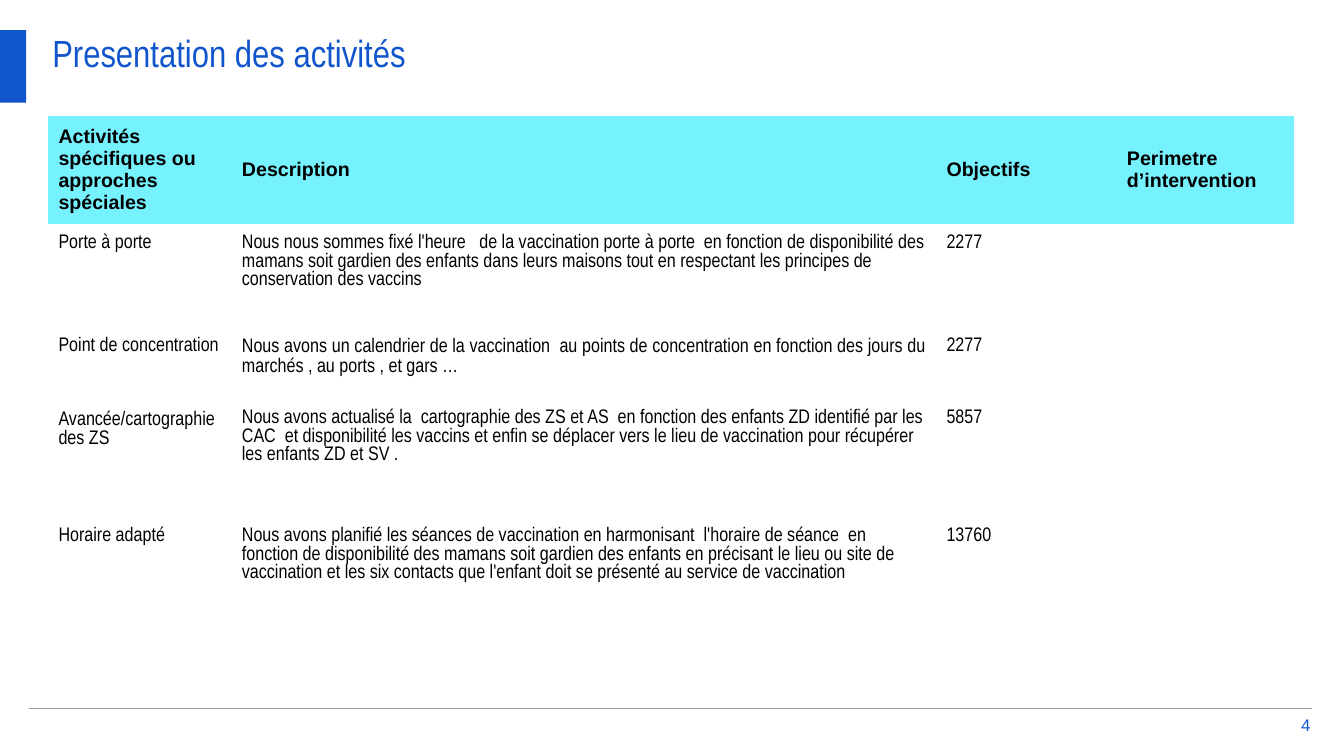
from dataclasses import dataclass

import pptx
import pptx.dml.color
import pptx.enum.shapes
import pptx.enum.text
import pptx.oxml
import pptx.oxml.ns
import pptx.util

Pt = pptx.util.Pt
ALIGN = pptx.enum.text.PP_ALIGN
ANCHOR = pptx.enum.text.MSO_ANCHOR

COLOURS = {"blue": "1155CC", "header": "76F2FF", "rule": "9E9E9E", "text": "000000"}
HEADINGS = (
    "Activités spécifiques ou approches spéciales",
    "Description",
    "Objectifs",
    "Perimetre d’intervention",
)
COLUMN_WIDTHS = (131, 503.3, 128.9, 126.7)
HEADER_HEIGHT = 74.9
CELL_MARGIN = 7.2
NO_STYLE = "{2D5ABB26-0587-4C30-8999-92F81FD0307C}"


@dataclass(frozen=True)
class Activity:
    name: str
    description: str
    target: str
    height: float
    justified_column: int | None = None


ACTIVITIES = (
    Activity(
        "Porte à porte",
        "Nous nous sommes fixé l'heure   de la vaccination porte à porte  en fonction de "
        "disponibilité des mamans soit gardien des enfants dans leurs maisons tout en "
        "respectant les principes de conservation des vaccins",
        "2277",
        73.4,
    ),
    Activity(
        "Point de concentration",
        "Nous avons un calendrier de la vaccination  au points de concentration en "
        "fonction des jours du marchés , au ports , et gars …",
        "2277",
        51.8,
        justified_column=1,
    ),
    Activity(
        "Avancée/cartographie des ZS",
        "Nous avons actualisé la  cartographie des ZS et AS  en fonction des enfants ZD "
        "identifié par les CAC  et disponibilité les vaccins et enfin se déplacer vers le "
        "lieu de vaccination pour récupérer les enfants ZD et SV .",
        "5857",
        84.2,
        justified_column=0,
    ),
    Activity(
        "Horaire adapté",
        "Nous avons planifié les séances de vaccination en harmonisant  l'horaire de "
        "séance  en fonction de disponibilité des mamans soit gardien des enfants en "
        "précisant le lieu ou site de vaccination et les six contacts que l'enfant doit "
        "se présenté au service de vaccination",
        "13760",
        100.8,
    ),
)


def colour(key: str) -> pptx.dml.color.RGBColor:
    return pptx.dml.color.RGBColor.from_string(COLOURS[key])


def format_font(paragraph, name: str, size: float, key: str, bold: bool = False) -> None:
    font = paragraph.font
    font.name = name
    font.size = Pt(size)
    font.bold = bold
    font.color.rgb = colour(key)


def place(shape, left: float, top: float, width: float, height: float) -> None:
    shape.left, shape.top = Pt(left), Pt(top)
    shape.width, shape.height = Pt(width), Pt(height)


def fill_frame(shape, text: str, anchor, align, font: str, size: float) -> None:
    frame = shape.text_frame
    frame.text = text
    frame.word_wrap = True
    frame.auto_size = pptx.enum.text.MSO_AUTO_SIZE.NONE
    frame.vertical_anchor = anchor
    frame.margin_left = frame.margin_right = frame.margin_top = frame.margin_bottom = 0
    frame.paragraphs[0].alignment = align
    format_font(frame.paragraphs[0], font, size, "blue")


def fill_cell(cell, text: str, header: bool = False, justified: bool = False) -> None:
    cell.margin_left = cell.margin_right = Pt(CELL_MARGIN)
    cell.margin_top = cell.margin_bottom = Pt(CELL_MARGIN)
    cell.vertical_anchor = ANCHOR.MIDDLE if header else ANCHOR.TOP
    if header:
        cell.fill.solid()
        cell.fill.fore_color.rgb = colour("header")
    else:
        cell.fill.background()
    cell.text = text
    paragraph = cell.text_frame.paragraphs[0]
    if justified:
        paragraph.alignment = ALIGN.JUSTIFY
        paragraph.line_spacing = 1.07
    format_font(paragraph, "Arial" if header else "Arial Narrow", 14, "text", header)


def add_activities(slide) -> None:
    heights = (HEADER_HEIGHT, *(activity.height for activity in ACTIVITIES))
    frame = slide.shapes.add_table(
        len(heights), len(COLUMN_WIDTHS),
        Pt(34.6), Pt(82.8), Pt(sum(COLUMN_WIDTHS)), Pt(sum(heights)),
    )
    table = frame.table
    table.horz_banding = False
    style = frame._element.find(".//" + pptx.oxml.ns.qn("a:tableStyleId"))
    style.text = NO_STYLE
    for column, width in zip(table.columns, COLUMN_WIDTHS):
        column.width = Pt(width)
    for row, height in zip(table.rows, heights):
        row.height = Pt(height)
    for column, heading in enumerate(HEADINGS):
        fill_cell(table.cell(0, column), heading, header=True)
    for row, activity in enumerate(ACTIVITIES, start=1):
        texts = (activity.name, activity.description, activity.target, "")
        for column, text in enumerate(texts):
            justified = column == activity.justified_column
            fill_cell(table.cell(row, column), text, justified=justified)


def add_accent(slide) -> None:
    accent = slide.shapes.add_shape(
        pptx.enum.shapes.MSO_SHAPE.RECTANGLE, 0, Pt(21.6), Pt(18.7), Pt(51.8)
    )
    accent.shadow.inherit = False
    accent.fill.solid()
    accent.fill.fore_color.rgb = colour("blue")
    accent.line.fill.background()


def add_footer(slide) -> None:
    page_number = slide.shapes.add_textbox(Pt(918), Pt(511.2), Pt(18), Pt(13))
    fill_frame(page_number, "4", ANCHOR.MIDDLE, ALIGN.RIGHT, "Arial", 12)
    rule = slide.shapes.add_connector(
        pptx.enum.shapes.MSO_CONNECTOR.STRAIGHT, Pt(20.9), Pt(506.2), Pt(937.4), Pt(506.2)
    )
    rule.line.color.rgb = colour("rule")
    rule.line.width = Pt(1)
    rule._element.spPr.append(pptx.oxml.parse_xml(
        f"<a:effectLst {pptx.oxml.ns.nsdecls('a')}/>"
    ))


def main() -> None:
    presentation = pptx.Presentation()
    presentation.slide_width = Pt(960)
    presentation.slide_height = Pt(540)
    slide = presentation.slides.add_slide(presentation.slide_layouts.get_by_name("Title Only"))
    title = slide.shapes.title
    place(title, 37.4, 20.9, 886.3, 61.9)
    fill_frame(title, "Presentation des activités", ANCHOR.TOP, ALIGN.LEFT, "Arial Narrow", 27)
    add_accent(slide)
    add_footer(slide)
    add_activities(slide)
    presentation.save("out.pptx")


if __name__ == "__main__":
    main()
